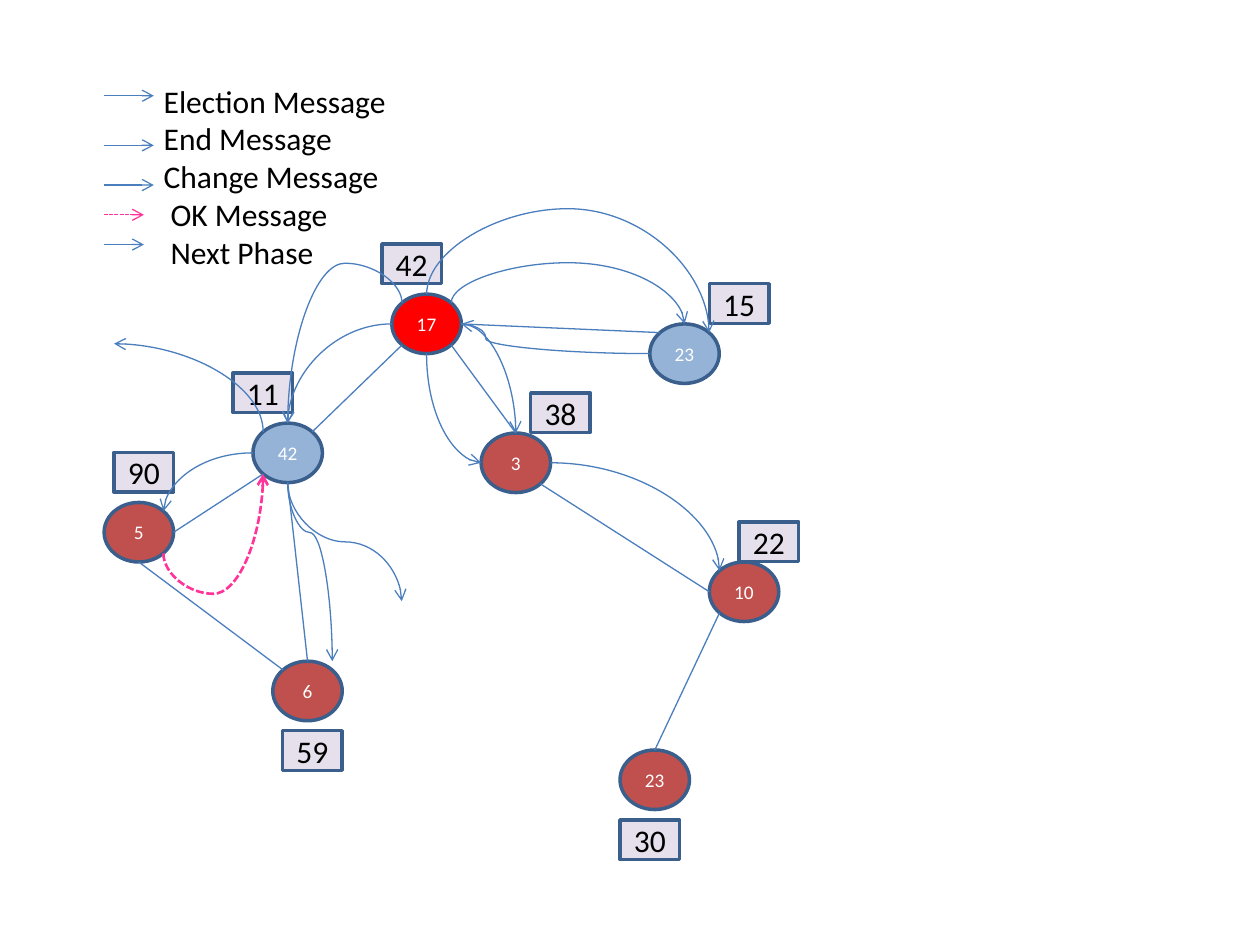
from lxml.etree import SubElement
from pptx import Presentation
from pptx.dml.color import RGBColor
from pptx.enum.dml import MSO_LINE
from pptx.enum.shapes import MSO_CONNECTOR, MSO_SHAPE
from pptx.enum.text import MSO_ANCHOR, PP_ALIGN
from pptx.oxml.ns import qn
from pptx.util import Cm, Pt

RED = RGBColor(0xFF, 0x00, 0x00)
BLUE = RGBColor(0x95, 0xB3, 0xD7)
BRICK = RGBColor(0xC0, 0x50, 0x4D)
LILAC = RGBColor(0xE6, 0xE0, 0xEC)
NAVY = RGBColor(0x3A, 0x5F, 0x8C)
STEEL = RGBColor(0x4B, 0x7E, 0xBC)
PINK = RGBColor(0xFF, 0x33, 0x99)
WHITE = RGBColor(0xFF, 0xFF, 0xFF)
BLACK = RGBColor(0x00, 0x00, 0x00)

NODE_W, NODE_H = 1.4, 1.2
BOX_W, BOX_H = 1.2, 0.8
DIAG = 0.5 ** 0.5
SIDES = {"n": (0, -1), "s": (0, 1), "w": (-1, 0), "e": (1, 0),
         "nw": (-DIAG, -DIAG), "ne": (DIAG, -DIAG),
         "sw": (-DIAG, DIAG), "se": (DIAG, DIAG)}

# key: left, top, label, fill
NODES = {
    "root": (7.9, 5.93, "17", RED),
    "left": (5.1, 8.53, "42", BLUE),
    "five": (2.1, 10.13, "5", BRICK),
    "six": (5.5, 13.33, "6", BRICK),
    "right": (13.1, 6.53, "23", BLUE),
    "three": (9.7, 8.73, "3", BRICK),
    "ten": (14.3, 11.33, "10", BRICK),
    "last": (12.5, 15.12, "23", BRICK),
}
BOXES = [(7.7, 4.92, "42"), (4.7, 7.52, "11"), (5.7, 14.73, "59"),
         (2.3, 9.12, "90"), (14.3, 5.72, "15"), (14.9, 10.52, "22"),
         (10.7, 7.92, "38"), (12.5, 16.53, "30")]
EDGES = ["five.e left.sw", "six.nw five.s", "left.ne root.sw",
         "root.se three.n", "root.e right.nw", "last.n ten.sw",
         "three.se ten.w", "six.n left.s"]
# start, end, leaves upright, bend (None for a quarter turn)
CURVES = [
    ("left.w", "five.ne", False, None),
    ("root.w", "left.n", False, None),
    ("left.s", (6.7, 13.33), True, 0.28),
    ("root.ne", "right.n", True, -1.91),
    ("three.e", "ten.nw", False, None),
    ("root.s", "three.w", True, None),
    ("left.s", (8.1, 12.12), True, 0.5),
    ("right.w", "root.e", False, 0.87),
    ("left.nw", (2.3, 6.93), True, None),
    ("root.n", "right.ne", True, -2.22),
    ("root.e", "three.n", False, None),
    ("root.nw", "left.n", True, -0.33),
]
OK_CURVE = ("five.se", "left.sw", True, -0.51)
# text, indent, arrow height, arrow length, arrow format
DASHED = {"color": PINK, "dash_style": MSO_LINE.SQUARE_DOT}
LEGEND = [
    ("Election Message", 1.15, 1.93, 1, {}),
    ("End Message", 1.15, 2.93, 1, {}),
    ("Change Message", 1.15, 3.73, 1, {}),
    ("OK Message", 1.29, 4.33, 0.8, DASHED),
    ("Next Phase", 1.29, 4.93, 0.8, {}),
]


def site(spot):
    """Turn "node.side" into the point on that node's rim."""
    if isinstance(spot, tuple):
        return spot
    key, side = spot.split(".")
    left, top = NODES[key][:2]
    dx, dy = SIDES[side]
    return left + NODE_W / 2 * (1 + dx), top + NODE_H / 2 * (1 + dy)


def assign(item, values):
    for name, value in values.items():
        setattr(item, name, value)


class Sketch:
    font = {"name": "Calibri", "size": Pt(18)}
    line = {"color": STEEL, "width": Pt(0.75)}

    def __init__(self, slide):
        self.slide = slide

    def label(self, para, text, **style):
        run = para.add_run()
        run.text = text
        style = {**self.font, **style}
        run.font.color.rgb = style.pop("color")
        assign(run.font, style)

    def stroke(self, line, **style):
        style = {**self.line, **style}
        line.color.rgb = style.pop("color")
        assign(line, style)

    def shape(self, kind, place, text, fill, **style):
        item = self.slide.shapes.add_shape(kind, *map(Cm, place))
        item.shadow.inherit = False
        item.fill.solid()
        item.fill.fore_color.rgb = fill
        self.stroke(item.line, color=NAVY, width=Pt(2))
        frame = item.text_frame
        sides = ("left", "right", "top", "bottom")
        assign(frame, {f"margin_{side}": 0 for side in sides})
        assign(frame, {"vertical_anchor": MSO_ANCHOR.MIDDLE, "word_wrap": True})
        frame.paragraphs[0].alignment = PP_ALIGN.CENTER
        self.label(frame.paragraphs[0], text, **style)

    def link(self, start, end, kind=MSO_CONNECTOR.STRAIGHT, arrow=False, **style):
        item = self.slide.shapes.add_connector(kind, *map(Cm, start + end))
        self.stroke(item.line, **style)
        props = item._element.spPr
        if arrow:
            SubElement(props.find(qn("a:ln")), qn("a:tailEnd"), type="arrow")
        SubElement(props, qn("a:effectLst"))
        return props

    def curve(self, start, end, upright, bend, **style):
        """Draw a curved arrow; an upright one is a sideways one turned by 270 degrees."""
        (x1, y1), (x2, y2) = site(start), site(end)
        if upright:
            midx, midy = (x1 + x2) / 2, (y1 + y2) / 2
            dx, dy = (x2 - x1) / 2, (y2 - y1) / 2
            x1, y1, x2, y2 = midx + dy, midy - dx, midx - dy, midy + dx
        props = self.link((x1, y1), (x2, y2), MSO_CONNECTOR.CURVE, True, **style)
        if upright:
            props.find(qn("a:xfrm")).set("rot", str(270 * 60000))
        geom = props.find(qn("a:prstGeom"))
        if bend is None:
            geom.set("prst", "curvedConnector2")
        else:
            SubElement(geom.find(qn("a:avLst")), qn("a:gd"), name="adj1",
                       fmla=f"val {round(bend * 100000)}")

    def legend(self, rows):
        box = self.slide.shapes.add_textbox(Cm(1.9), Cm(1.52), Cm(8), Cm(6.4))
        frame = box.text_frame
        frame.word_wrap = True
        for num, (text, indent, top, length, style) in enumerate(rows):
            para = frame.add_paragraph() if num else frame.paragraphs[0]
            para._p.get_or_add_pPr().set("marL", str(Cm(indent)))
            self.label(para, text, color=BLACK)
            self.link((2.1, top), (2.1 + length, top), arrow=True, **style)


def main():
    deck = Presentation()
    assign(deck, {"slide_width": Cm(25.4), "slide_height": Cm(19.05)})
    art = Sketch(deck.slides.add_slide(deck.slide_layouts[6]))
    for left, top, text, fill in NODES.values():
        art.shape(MSO_SHAPE.FLOWCHART_CONNECTOR, (left, top, NODE_W, NODE_H),
                  text, fill, color=WHITE, size=Pt(11))
    for edge in EDGES:
        art.link(*map(site, edge.split()))
    for left, top, text in BOXES:
        art.shape(MSO_SHAPE.RECTANGLE, (left, top, BOX_W, BOX_H),
                  text, LILAC, color=BLACK)
    for curve in CURVES:
        art.curve(*curve)
    art.curve(*OK_CURVE, width=Pt(1.5), **DASHED)
    art.legend(LEGEND)
    deck.save("out.pptx")


if __name__ == "__main__":
    main()
